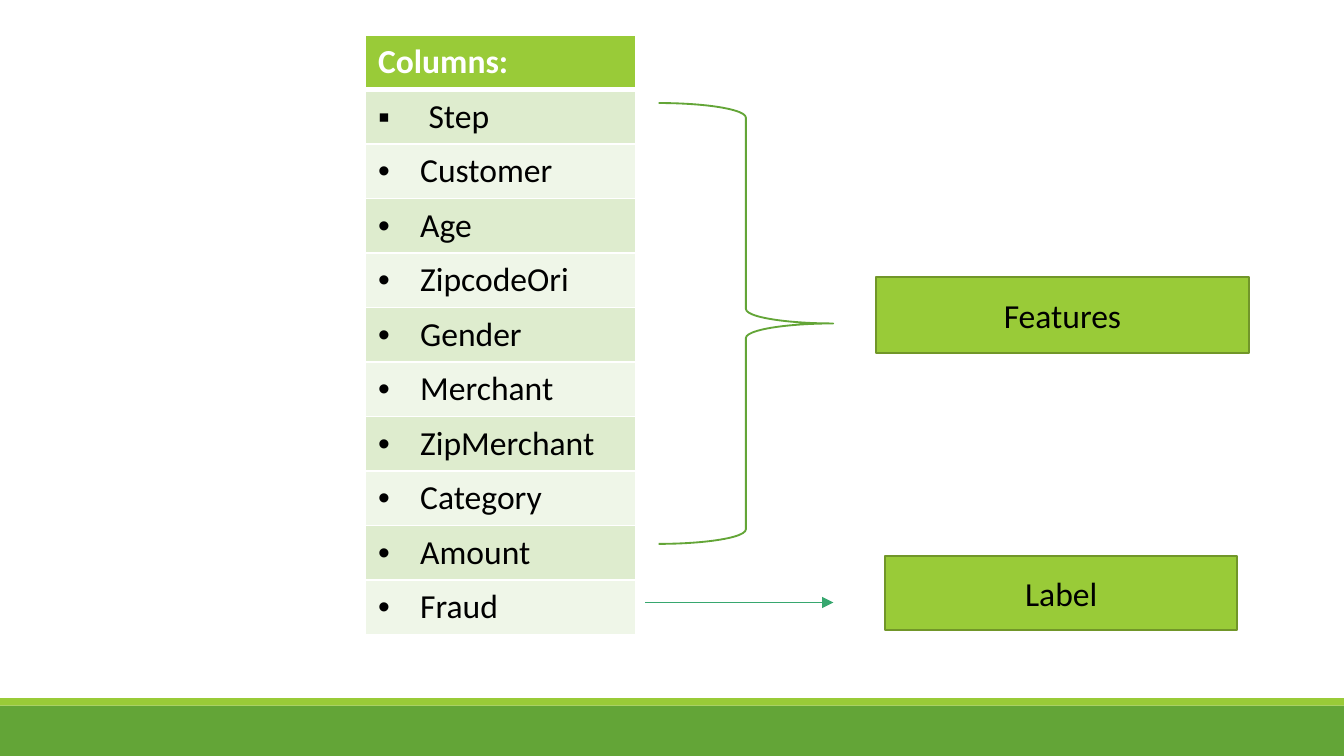
from lxml import etree
from pptx import Presentation
from pptx.dml.color import RGBColor
from pptx.enum.shapes import MSO_CONNECTOR, MSO_SHAPE
from pptx.enum.text import MSO_ANCHOR, PP_ALIGN
from pptx.oxml.ns import qn
from pptx.util import Pt

RECT, BRACE = MSO_SHAPE.RECTANGLE, MSO_SHAPE.RIGHT_BRACE
LINE = MSO_CONNECTOR.STRAIGHT
MIDDLE, CENTER = MSO_ANCHOR.MIDDLE, PP_ALIGN.CENTER

GREEN, LIME, TEAL, OLIVE = "63A537", "99CB38", "37A76F", "719629"
WHITE, BLACK = "FFFFFF", "000000"
BANDS = ["DEECCE", "EFF6E8"]
FONT = {"name": "Calibri", "size": Pt(18), "bold": False}
NAMES = ["Columns:", "Step", "Customer", "Age", "ZipcodeOri", "Gender",
         "Merchant", "ZipMerchant", "Category", "Amount", "Fraud"]


def paint(color, hue):
    color.rgb = RGBColor.from_string(hue)


def write(para, text, hue, **extra):
    """Add one run in the slide's font, with any extra font values."""
    run = para.add_run()
    run.text = text
    for key, value in {**FONT, **extra}.items():
        setattr(run.font, key, value)
    paint(run.font.color, hue)


deck = Presentation()
deck.slide_width, deck.slide_height = Pt(720), Pt(405)
slide = deck.slides.add_slide(deck.slide_layouts[6])
shapes = slide.shapes

# Footer bands, brace and result boxes
for kind, left, top, width, height, fill, edge, weight, text in [
    (RECT, 0, 378, 720, 27, GREEN, None, 0, ""),
    (RECT, 0, 374, 720, 4, LIME, None, 0, ""),
    (BRACE, 352.8, 55.2, 93.6, 236.2, None, GREEN, 1, ""),
    (RECT, 469.4, 148.5, 199.6, 40.5, LIME, OLIVE, 1.25, "Features"),
    (RECT, 474.2, 298, 188.6, 39.6, LIME, OLIVE, 1.25, "Label"),
]:
    shape = shapes.add_shape(kind, Pt(left), Pt(top), Pt(width), Pt(height))
    shape.shadow.inherit = False
    if fill:
        shape.fill.solid()
        paint(shape.fill.fore_color, fill)
    else:
        shape.fill.background()
    if edge:
        paint(shape.line.color, edge)
        shape.line.width = Pt(weight)
    else:
        shape.line.fill.background()
    if text:
        shape.text_frame.vertical_anchor = MIDDLE
        para = shape.text_frame.paragraphs[0]
        para.alignment = CENTER
        write(para, text, BLACK)

# Column list
count = len(NAMES)
frame = shapes.add_table(count, 1, Pt(195.4), Pt(18.7), Pt(145), Pt(29.2 * count))
table = frame.table
for row, name in enumerate(NAMES):
    cell = table.cell(row, 0)
    head = row == 0
    props = cell._tc.get_or_add_tcPr()
    for side in "LRTB":
        thick = (head and side == "B") or (row == 1 and side == "T")
        edge = etree.SubElement(props, qn(f"a:ln{side}"), w=str(Pt(3 if thick else 1)))
        solid = etree.SubElement(edge, qn("a:solidFill"))
        etree.SubElement(solid, qn("a:srgbClr"), val=WHITE)
    cell.fill.solid()
    paint(cell.fill.fore_color, LIME if head else BANDS[(row - 1) % 2])
    para = cell.text_frame.paragraphs[0]
    write(para, name, WHITE if head else BLACK, bold=head)
    if not head:
        mark, indent = ("▪", 27) if row == 1 else ("•", 22.5)
        props = para._p.get_or_add_pPr()
        props.set("marL", str(Pt(indent)))
        props.set("indent", str(-Pt(indent)))
        etree.SubElement(props, qn("a:buFont"), typeface="Arial")
        etree.SubElement(props, qn("a:buChar"), char=mark)

# Arrow from Fraud to Label
arrow = shapes.add_connector(LINE, Pt(345.6), Pt(322.8), Pt(446.4), Pt(322.8))
paint(arrow.line.color, TEAL)
arrow.line.width = Pt(1)
etree.SubElement(arrow.line._get_or_add_ln(), qn("a:tailEnd"), type="triangle")
etree.SubElement(arrow._element.spPr, qn("a:effectLst"))

deck.save("out.pptx")
